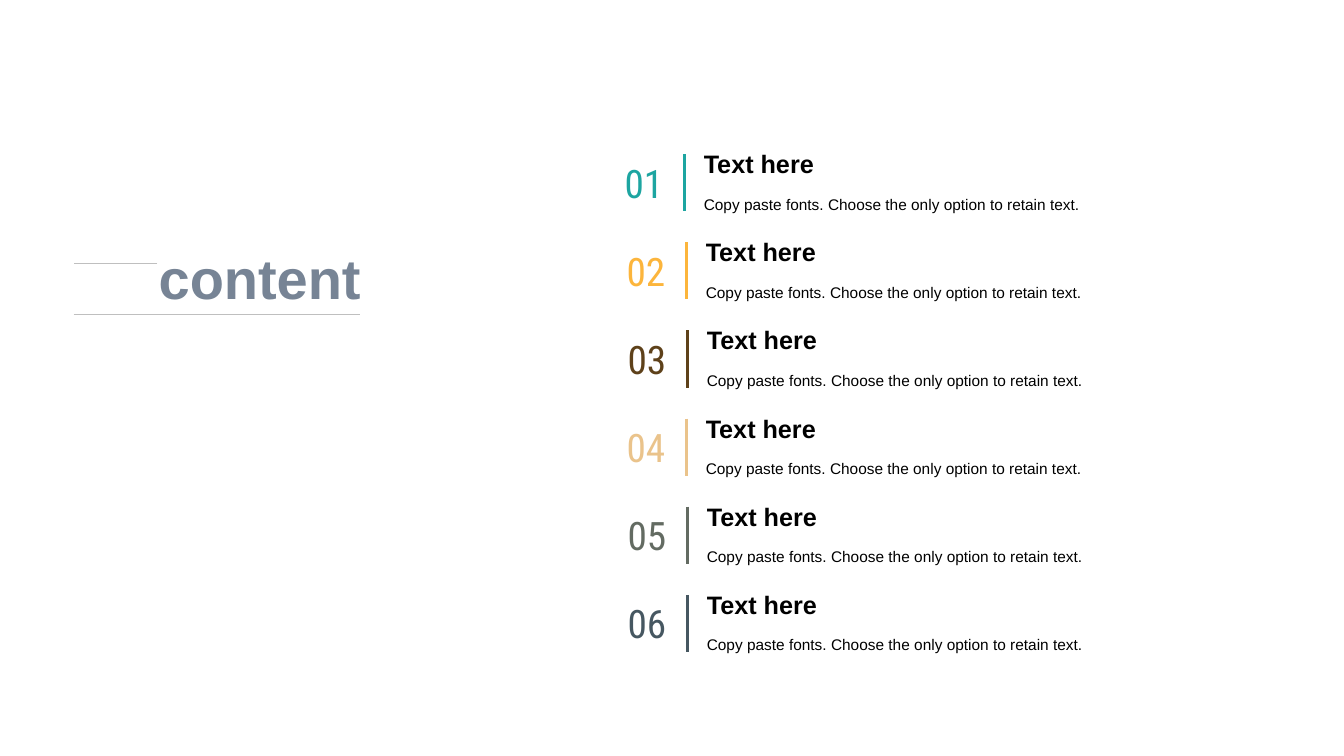
from dataclasses import dataclass

import pptx
import pptx.dml.color
import pptx.enum.shapes
import pptx.enum.text
import pptx.oxml.ns
import pptx.shapes.autoshape
import pptx.slide
import pptx.util
from lxml import etree

RGBColor = pptx.dml.color.RGBColor
Anchor = pptx.enum.text.MSO_ANCHOR
Align = pptx.enum.text.PP_ALIGN

# Grid: 160 columns by 90 rows of square cells
COLUMNS, ROWS = 160, 90
CELL = pptx.util.Inches(1 / 12)

# Agenda rows, measured in cells
FIRST_ROW, ROW_PITCH = 18.36, 10.49
BAR_COLUMN, BAR_HEIGHT = 81.5, 6.8
NUMBER_COLUMN, NUMBER_WIDTH = 73.6, 6.1
TEXT_COLUMN, TEXT_WIDTH = 82.6, 47.4

BLACK = RGBColor(0x00, 0x00, 0x00)
RULE_GREY = RGBColor(0xBF, 0xBF, 0xBF)
TITLE_GREY = RGBColor(0x77, 0x84, 0x95)
TEAL = RGBColor(0x1D, 0xA5, 0xA1)
AMBER = RGBColor(0xFC, 0xB5, 0x3C)
BROWN = RGBColor(0x5E, 0x41, 0x1A)
SAND = RGBColor(0xEA, 0xC3, 0x8B)
MOSS = RGBColor(0x63, 0x6B, 0x62)
SLATE = RGBColor(0x46, 0x57, 0x61)


@dataclass(frozen=True)
class AgendaItem:
    color: RGBColor
    shift: float
    heading: str = "Text here"
    description: str = "Copy paste fonts. Choose the only option to retain text."


@dataclass(frozen=True)
class TextStyle:
    size: int
    color: RGBColor
    font: str = "Arial"
    bold: bool = False
    line_spacing: float = 1.0
    align: Align = Align.LEFT
    anchor: Anchor = Anchor.MIDDLE
    wrap: bool = False
    padded: bool = True


AGENDA = [
    AgendaItem(TEAL, 0),
    AgendaItem(AMBER, 0.24),
    AgendaItem(BROWN, 0.36),
    AgendaItem(SAND, 0.24),
    AgendaItem(MOSS, 0.36),
    AgendaItem(SLATE, 0.36),
]
TITLE = TextStyle(40, TITLE_GREY, bold=True, line_spacing=0.9)
HEADING = TextStyle(18, BLACK, bold=True, line_spacing=0.9, anchor=Anchor.BOTTOM)
DESCRIPTION = TextStyle(11, BLACK, line_spacing=1.3, anchor=Anchor.TOP, wrap=True)


def cells(count: float) -> pptx.util.Emu:
    return pptx.util.Emu(round(count * CELL))


def add_text(slide: pptx.slide.Slide, text: str, style: TextStyle, left: float,
             top: float, width: float, height: float) -> pptx.shapes.autoshape.Shape:
    shape = slide.shapes.add_textbox(*map(cells, (left, top, width, height)))
    text_frame = shape.text_frame
    text_frame.text = text
    text_frame.word_wrap = style.wrap
    text_frame.vertical_anchor = style.anchor
    if not style.padded:
        text_frame.margin_left = text_frame.margin_right = 0
        text_frame.margin_top = text_frame.margin_bottom = 0
    paragraph = text_frame.paragraphs[0]
    paragraph.alignment = style.align
    paragraph.line_spacing = style.line_spacing
    font = paragraph.runs[0].font
    font.name, font.size, font.bold = style.font, pptx.util.Pt(style.size), style.bold
    font.color.rgb = style.color
    return shape


def add_line(slide: pptx.slide.Slide, start: tuple[float, float],
             end: tuple[float, float], color: RGBColor, weight: float) -> None:
    connector = slide.shapes.add_connector(
        pptx.enum.shapes.MSO_CONNECTOR.STRAIGHT, *map(cells, start + end))
    connector.line.color.rgb = color
    connector.line.width = pptx.util.Pt(weight)
    properties = connector.element.spPr
    etree.SubElement(properties, pptx.oxml.ns.qn("a:effectLst"))


def add_agenda_item(slide: pptx.slide.Slide, index: int, item: AgendaItem) -> None:
    top = FIRST_ROW + index * ROW_PITCH
    bar = BAR_COLUMN + item.shift
    text_left = TEXT_COLUMN + item.shift
    number_style = TextStyle(28, item.color, font="Roboto Condensed",
                             align=Align.CENTER, padded=False)
    add_text(slide, f"{index + 1:02d}", number_style, NUMBER_COLUMN, top + 0.38,
             NUMBER_WIDTH + 2 * item.shift, 6)
    add_line(slide, (bar, top), (bar, top + BAR_HEIGHT), item.color, 2.25)
    add_text(slide, item.description, DESCRIPTION, text_left, top + 3.6, TEXT_WIDTH, 4.2)
    add_text(slide, item.heading, HEADING, text_left, top - 1, TEXT_WIDTH, 4.56)


def main() -> None:
    presentation = pptx.Presentation()
    presentation.slide_width = cells(COLUMNS)
    presentation.slide_height = cells(ROWS)
    slide = presentation.slides.add_slide(presentation.slide_layouts[6])

    # Title with its two rules
    add_line(slide, (18.72, 31.36), (8.76, 31.36), RULE_GREY, 0.5)
    add_line(slide, (8.76, 37.44), (42.8, 37.44), RULE_GREY, 0.5)
    add_text(slide, "content", TITLE, 17.7, 29.16, 28, 8.64)

    # Numbered agenda
    for index, item in enumerate(AGENDA):
        add_agenda_item(slide, index, item)

    presentation.save("out.pptx")


if __name__ == "__main__":
    main()
